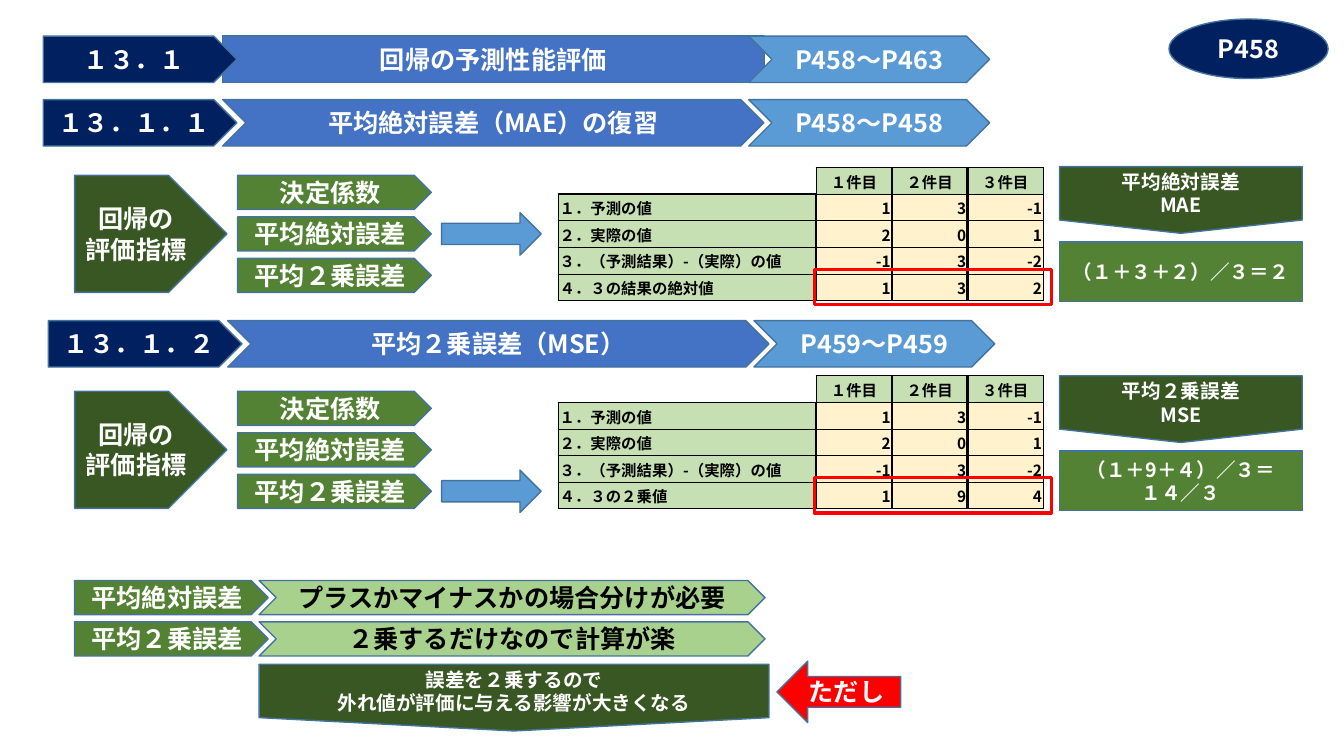
from collections import namedtuple
from dataclasses import dataclass

from lxml import etree
from pptx import Presentation
from pptx.dml.color import RGBColor
from pptx.enum import shapes, text
from pptx.oxml.ns import qn
from pptx.util import Cm, Pt

Box = namedtuple("Box", "left top width height")
Shape = shapes.MSO_SHAPE
Align = text.PP_ALIGN


@dataclass(frozen=True)
class Theme:
    """Colours, type sizes and font of the slide."""
    navy: str = "002060"
    blue: str = "4472C4"
    sky: str = "5B9BD5"
    outline: str = "43739E"
    forest: str = "385723"
    green: str = "548235"
    lime: str = "A9D18E"
    label: str = "C6E0B4"
    cream: str = "FFF2CC"
    red: str = "FF0000"
    white: str = "FFFFFF"
    black: str = "000000"
    heading: int = 18
    note: int = 14
    cell: int = 11
    font: str = "Noto Sans CJK JP"


THEME = Theme()
NO_TABLE_STYLE = "{2D5ABB26-0587-4C30-8999-92F81FD0307C}"
MEASURES = ("決定係数", "平均絶対誤差", "平均２乗誤差")
COMMON_ROWS = (
    ("", "１件目", "２件目", "３件目"),
    ("１．予測の値", "1", "3", "-1"),
    ("２．実際の値", "2", "0", "1"),
    ("３．（予測結果）-（実際）の値", "-1", "3", "-2"),
)


def rgb(code):
    """Return the colour object for a hex code."""
    return RGBColor.from_string(code)


def write(frame, words, size, colour, align=Align.CENTER):
    """Fill a text frame with bold paragraphs in the theme font."""
    frame.text = words
    for paragraph in frame.paragraphs:
        paragraph.alignment = align
        font = paragraph.font
        font.size, font.bold, font.name = Pt(size), True, THEME.font
        font.color.rgb = rgb(colour)
        latin = paragraph._p.pPr.find(qn("a:defRPr")).find(qn("a:latin"))
        east_asian = etree.Element(qn("a:ea"), typeface=THEME.font)
        latin.addnext(east_asian)


def paint(part, fill, words, size=THEME.heading, colour=THEME.white):
    """Give a shape its fill, outline and centred text."""
    part.fill.solid()
    part.fill.fore_color.rgb = rgb(fill)
    part.line.color.rgb = rgb(THEME.outline)
    part.line.width = Pt(1)
    part.text_frame.vertical_anchor = text.MSO_ANCHOR.MIDDLE
    part.text_frame.word_wrap = True
    write(part.text_frame, words, size, colour)


def place(slide, kind, box, fill, words="", **style):
    """Add a preset shape in a box measured in centimetres."""
    part = slide.shapes.add_shape(kind, *map(Cm, box))
    part.shadow.inherit = False
    paint(part, fill, words, **style)


def slide_title(slide, box, words):
    """Turn the title placeholder into a chevron."""
    title = slide.shapes.title
    title.left, title.top, title.width, title.height = map(Cm, box)
    geometry = etree.SubElement(title._element.spPr, qn("a:prstGeom"), prst="chevron")
    etree.SubElement(geometry, qn("a:avLst"))
    title.text_frame.auto_size = text.MSO_AUTO_SIZE.NONE
    paint(title, THEME.blue, words)


def heading(slide, box, number, topic, pages, is_title=False):
    """Draw a band with section number, topic and page range."""
    left, top, _, height = box
    topic_box = Box(left + 4.52, top, 13.64, height)
    place(slide, Shape.PENTAGON, Box(left, top, 4.88, height), THEME.navy, number)
    if is_title:
        slide_title(slide, topic_box, topic)
    else:
        place(slide, Shape.CHEVRON, topic_box, THEME.blue, topic)
    place(slide, Shape.CHEVRON, Box(left + 17.78, top, 6.07, height), THEME.sky, pages)


def measures(slide, box, chosen):
    """Draw the list of measures and an arrow from the chosen one."""
    left, top, _, height = box
    item_height = 0.86
    pitch = (height - item_height) / (len(MEASURES) - 1)
    place(slide, Shape.PENTAGON, Box(left, top, 3.84, height), THEME.forest, "回帰の\n評価指標")
    for index, measure in enumerate(MEASURES):
        item = Box(left + 4.11, top + index * pitch, 4.88, item_height)
        place(slide, Shape.PENTAGON, item, THEME.green, measure)
    arrow_top = top + chosen * pitch + (item_height - 1.07) / 2
    place(slide, Shape.RIGHT_ARROW, Box(left + 9.25, arrow_top, 2.51, 1.07), THEME.sky)


def border(cell, widths):
    """Draw the left, right, top and bottom borders of a cell."""
    properties = cell._tc.get_or_add_tcPr()
    for position, (side, points) in enumerate(zip("LRTB", widths)):
        edge = etree.Element(qn(f"a:ln{side}"), w=str(Pt(points)))
        fill = etree.SubElement(edge, qn("a:solidFill"))
        etree.SubElement(fill, qn("a:srgbClr"), val=THEME.black)
        properties.insert(position, edge)


def error_table(slide, box, last_row):
    """Draw the error table and frame the numbers of its last row."""
    rows = COMMON_ROWS + (last_row,)
    last, last_column = len(rows) - 1, len(last_row) - 1
    table = slide.shapes.add_table(len(rows), len(last_row), *map(Cm, box)).table
    table.first_row = table.horz_banding = False
    table._tbl.tblPr.find(qn("a:tableStyleId")).text = NO_TABLE_STYLE
    label_width = 6.5
    for index, column in enumerate(table.columns):
        column.width = Cm((box.width - label_width) / last_column if index else label_width)
    for r, row in enumerate(rows):
        table.rows[r].height = Cm(box.height / len(rows))
        for c, words in enumerate(row):
            cell = table.cell(r, c)
            cell.vertical_anchor = text.MSO_ANCHOR.MIDDLE
            cell.margin_left = cell.margin_right = cell.margin_top = Cm(0.03)
            cell.margin_bottom = 0
            align = Align.CENTER if r == 0 else Align.RIGHT if c else Align.LEFT
            write(cell.text_frame, words, THEME.cell, THEME.black, align)
            if not words:
                cell.fill.background()
                continue
            cell.fill.solid()
            cell.fill.fore_color.rgb = rgb(THEME.cream if r and c else THEME.label)
            border(cell, (
                1 if c == 0 or (r, c) == (0, 1) else 2,
                1 if c == last_column else 2,
                1 if r == 0 or (r, c) == (1, 0) else 0.5,
                1 if r == last else 0.5,
            ))
    frame_box = Box(box.left + 6.45, box.top + 2.57, 5.97, 0.89)
    frame = slide.shapes.add_shape(Shape.RECTANGLE, *map(Cm, frame_box))
    frame.shadow.inherit = False
    frame.fill.background()
    frame.line.color.rgb = rgb(THEME.red)
    frame.line.width = Pt(2.25)


def formula(slide, box, name, calculation):
    """Draw a measure's name above its calculation."""
    left, top, width, height = box
    place(slide, Shape.FLOWCHART_OFFPAGE_CONNECTOR, Box(left, top, width, 1.68),
          THEME.forest, name, size=THEME.note)
    place(slide, Shape.RECTANGLE, Box(left, top + 1.9, width, height - 1.9),
          THEME.green, calculation, size=THEME.note)


def summary(slide, box):
    """Compare the two errors and add the caveat."""
    left, top, _, _ = box
    claims = ("プラスかマイナスかの場合分けが必要", "２乗するだけなので計算が楽")
    for index, (measure, claim) in enumerate(zip(MEASURES[1:], claims)):
        y = top + index * 1.04
        place(slide, Shape.PENTAGON, Box(left, y, 4.88, 0.86), THEME.green, measure)
        place(slide, Shape.CHEVRON, Box(left + 4.65, y, 12.75, 0.86), THEME.lime, claim,
              colour=THEME.black)
    place(slide, Shape.FLOWCHART_OFFPAGE_CONNECTOR, Box(left + 4.65, top + 2.11, 12.85, 1.68),
          THEME.forest, "誤差を２乗するので\n外れ値が評価に与える影響が大きくなる", size=THEME.note)
    place(slide, Shape.LEFT_ARROW, Box(left + 17.7, top + 2.03, 3.12, 1.55), THEME.red, "ただし")


def main():
    """Build the slide and save it."""
    deck = Presentation()
    deck.slide_width, deck.slide_height = Cm(33.87), Cm(19.05)
    slide = deck.slides.add_slide(deck.slide_layouts[5])
    heading(slide, Box(1.09, 0.91, 23.85, 1.17), "１３．１", "回帰の予測性能評価",
            "P458～P463", is_title=True)
    heading(slide, Box(1.09, 2.51, 23.85, 1.17), "１３．１．１", "平均絶対誤差（MAE）の復習", "P458～P458")
    place(slide, Shape.OVAL, Box(29.46, 0.48, 4.01, 1.5), THEME.navy, "P458")
    measures(slide, Box(1.88, 4.42, 11.76, 2.95), 1)
    error_table(slide, Box(14.07, 4.22, 12.22, 3.35), ("４．３の結果の絶対値", "1", "3", "2"))
    formula(slide, Box(26.7, 4.2, 6.12, 3.4), "平均絶対誤差\nMAE", "（１＋３＋２）／３＝２")
    heading(slide, Box(1.22, 8.08, 23.85, 1.17), "１３．１．２", "平均２乗誤差（MSE）", "P459～P459")
    measures(slide, Box(1.88, 9.86, 11.76, 2.95), 2)
    error_table(slide, Box(14.07, 9.47, 12.22, 3.35), ("４．３の２乗値", "1", "9", "4"))
    formula(slide, Box(26.7, 9.47, 6.12, 3.4), "平均２乗誤差\nMSE", "（１＋9＋４）／３＝\n１４／３")
    summary(slide, Box(1.88, 14.63, 20.82, 3.79))
    deck.save("out.pptx")


if __name__ == "__main__":
    main()
